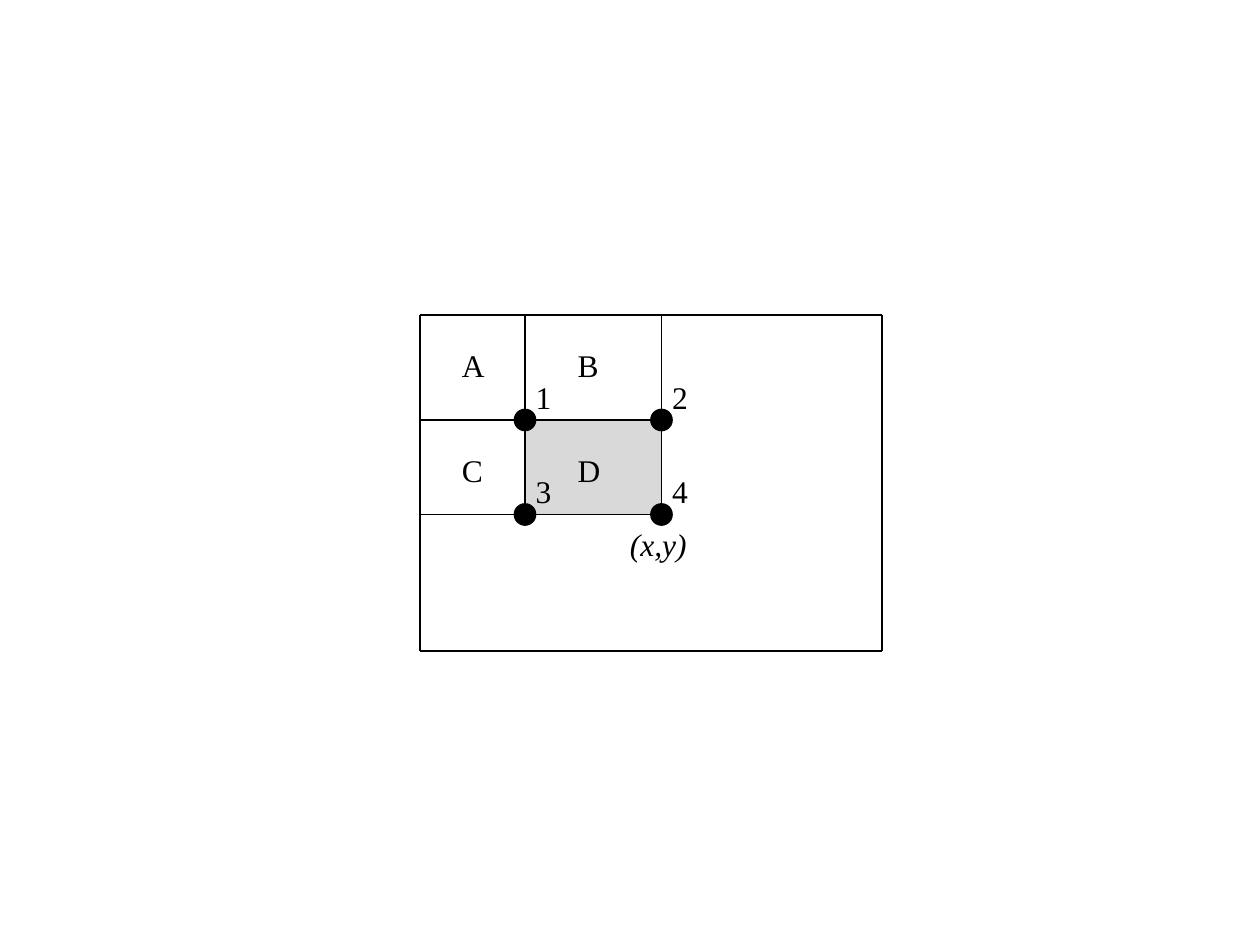
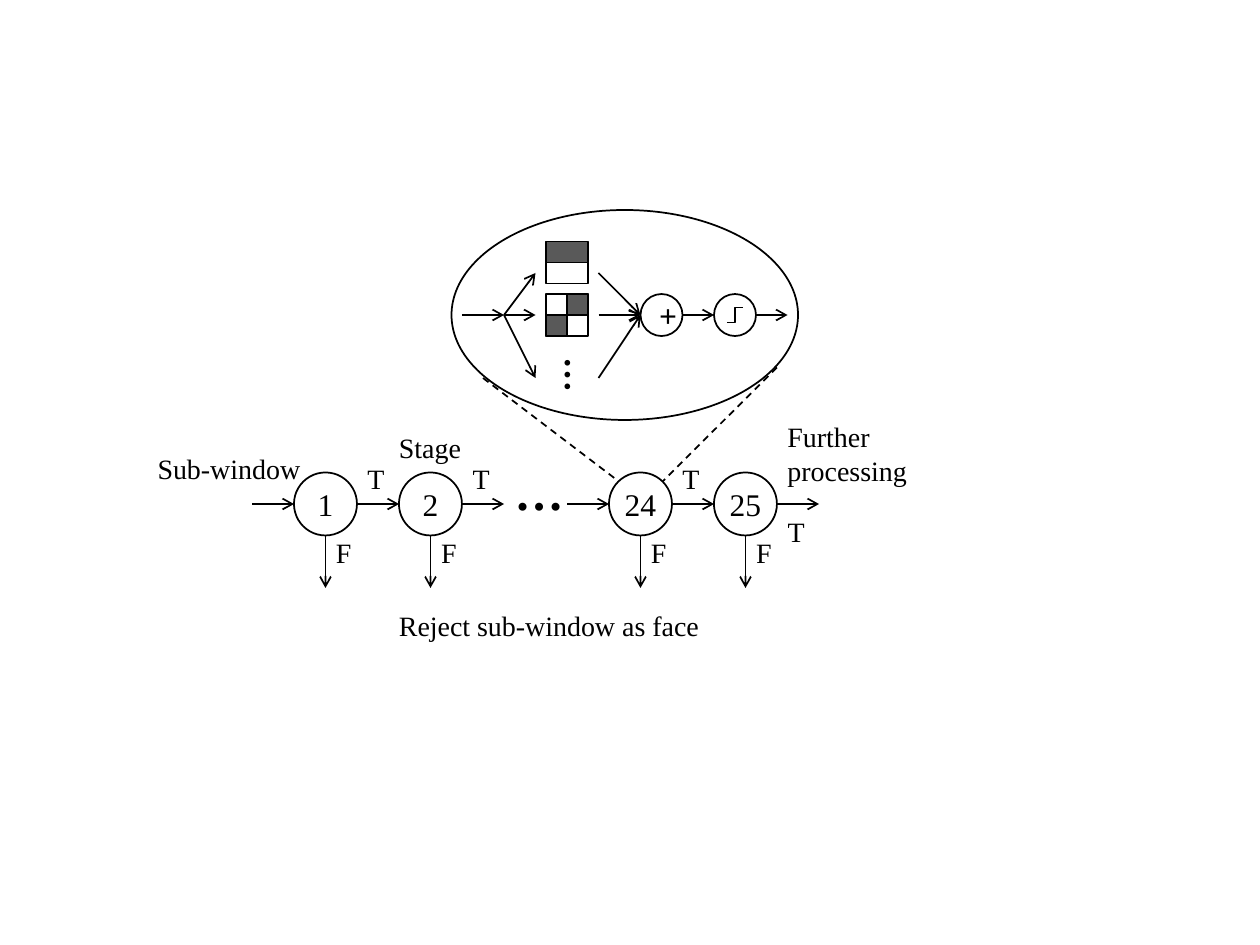
from lxml import etree
from pptx import Presentation
from pptx import util as u
from pptx.dml import color
from pptx.enum import dml, shapes, text
from pptx.oxml import ns

COLORS = {"ink": "000000", "paper": "FFFFFF", "shade": "D9D9D9", "dark": "595959"}
COLUMNS, ROWS = 120, 90
BLANK_LAYOUT = 6


class Diagram:
    """Draws black-line diagrams on a grid of columns and rows."""

    font = {"name": "Times New Roman", "bold": False, "italic": False}
    label_frame = {
        "margin_left": 0, "margin_right": 0, "margin_top": 0, "margin_bottom": 0,
        "word_wrap": True, "auto_size": text.MSO_AUTO_SIZE.SHAPE_TO_FIT_TEXT,
    }

    def __init__(self):
        self.presentation = Presentation()
        self.presentation.slide_width = u.Inches(10)
        self.presentation.slide_height = u.Inches(7.5)
        self.slide = None

    def new_slide(self):
        layout = self.presentation.slide_layouts[BLANK_LAYOUT]
        self.slide = self.presentation.slides.add_slide(layout)

    def x(self, columns):
        return round(self.presentation.slide_width * columns / COLUMNS)

    def y(self, rows):
        return round(self.presentation.slide_height * rows / ROWS)

    def box(self, left, top, width, height):
        return self.x(left), self.y(top), self.x(width), self.y(height)

    def rgb(self, name):
        return color.RGBColor.from_string(COLORS[name])

    def apply(self, target, values):
        for name, value in values.items():
            setattr(target, name, value)

    def add_words(self, frame, words, size, **style):
        run = frame.paragraphs[0].add_run()
        run.text = words
        self.apply(run.font, {**self.font, "size": u.Pt(size), **style})
        run.font.color.rgb = self.rgb("ink")

    def label(self, words, left, top, width, size=16, lines=1, rotation=0, **style):
        shape = self.slide.shapes.add_textbox(*self.box(left, top, width, size * lines / 5))
        shape.rotation = rotation
        self.apply(shape.text_frame, self.label_frame)
        self.add_words(shape.text_frame, words, size, **style)

    def shape(self, kind, left, top, width, height, fill=None):
        shape = self.slide.shapes.add_shape(kind, *self.box(left, top, width, height))
        shape.shadow.inherit = False
        if fill:
            shape.fill.solid()
            shape.fill.fore_color.rgb = self.rgb(fill)
        else:
            shape.fill.background()
        shape.line.color.rgb = self.rgb("ink")
        shape.line.width = u.Pt(1)
        return shape

    def rectangle(self, *place, fill=None):
        return self.shape(shapes.MSO_SHAPE.RECTANGLE, *place, fill=fill)

    def ellipse(self, *place, fill=None):
        return self.shape(shapes.MSO_SHAPE.OVAL, *place, fill=fill)

    def node(self, words, left, top, size, bold=False):
        frame = self.ellipse(left, top, size, size).text_frame
        frame.vertical_anchor = text.MSO_ANCHOR.MIDDLE
        if len(words) > 1:
            self.apply(frame, {name: 0 for name in self.label_frame if "margin" in name})
        frame.paragraphs[0].alignment = text.PP_ALIGN.CENTER
        self.add_words(frame, words, 18, bold=bold)

    def line(self, start, end, arrow=False, dash=None, elbow=False, width=1):
        kind = shapes.MSO_CONNECTOR.ELBOW if elbow else shapes.MSO_CONNECTOR.STRAIGHT
        points = [scale(value) for point in (start, end)
                  for scale, value in zip((self.x, self.y), point)]
        connector = self.slide.shapes.add_connector(kind, *points)
        connector.line.color.rgb = self.rgb("ink")
        self.apply(connector.line, {"width": u.Pt(width), "dash_style": dash})
        properties = connector.element.spPr
        if arrow:
            outline = properties.find(ns.qn("a:ln"))
            etree.SubElement(outline, ns.qn("a:tailEnd"), type="arrow")
        etree.SubElement(properties, ns.qn("a:effectLst"))

    def arrow(self, start, end):
        self.line(start, end, arrow=True)


def draw_integral_regions(diagram):
    """Draws the four regions and their numbered corners."""
    diagram.new_slide()
    left, top, right, bottom = 40, 30, 84, 62
    columns, rows = (50, 63), (40, 49)
    diagram.rectangle(columns[0], rows[0], columns[1] - columns[0], rows[1] - rows[0],
                      fill="shade")
    for column, end in ((left, bottom), (right, bottom), *((c, rows[1]) for c in columns)):
        diagram.line((column, top), (column, end))
    for row, end in ((top, right), (bottom, right), *((r, columns[1]) for r in rows)):
        diagram.line((left, row), (end, row))
    for index, name in enumerate("ABCD"):
        diagram.label(name, (44, 55)[index % 2], (33, 43)[index // 2], 4, 18)
    diagram.label("(x,y)", 60, 50, 6, 18, italic=True)
    corners = [(column, row) for row in rows for column in columns]
    for number, (column, row) in enumerate(corners, 1):
        diagram.label(str(number), column + 1, row - 4, 4, 18)
        diagram.ellipse(column - 1, row - 1, 2, 2, fill="ink")


def draw_stage_detail(diagram):
    """Draws the enlarged view of one stage."""
    axis = 30
    for start, end in (((74, 35), (63.12, 45.84)), ((46, 36), (58.92, 45.84))):
        diagram.line(start, end, dash=dml.MSO_LINE.DASH)
    diagram.ellipse(43, 20, 33, 20, fill="paper")
    diagram.rectangle(52, 25, 4, 2)
    diagram.rectangle(52, 23, 4, 2, fill="dark")
    diagram.rectangle(52, 28, 4, 4)
    for left, top in ((54, 28), (52, 30)):
        diagram.rectangle(left, top, 2, 2, fill="dark")
    diagram.label("…", 53.16, 34.04, 4, 20, rotation=90, bold=True)
    for row in (26, axis, 36):
        diagram.arrow((48, axis), (51, row))
        diagram.arrow((57, row), (61, axis))
    diagram.node("+", 61, 28, 4, bold=True)
    diagram.ellipse(68, 28, 4, 4)
    for start, end in ((44, 48), (65, 68), (72, 75)):
        diagram.arrow((start, axis), (end, axis))
    diagram.line((69.24, 30.72), (70.75, 29.28), elbow=True, width=0.75)


def draw_cascade(diagram):
    """Draws the chain of stages with its pass and reject exits."""
    diagram.new_slide()
    draw_stage_detail(diagram)
    axis, size = 48, 6
    for number, left in ((1, 28), (2, 38), (24, 58), (25, 68)):
        middle, bottom = left + size / 2, axis + size / 2
        diagram.node(str(number), left, axis - size / 2, size)
        diagram.arrow((middle, bottom), (middle, bottom + 5))
        diagram.label("F", left + 4, bottom, 3)
    for start in range(24, 75, 10):
        diagram.arrow((start, axis), (start + 4, axis))
    for left, top in ((35, 44), (45, 44), (65, 44), (75, 49)):
        diagram.label("T", left, top, 3)
    diagram.label("…", 49, 44, 4, 28, bold=True)
    diagram.label("Sub-window", 15, 43, 16)
    diagram.label("Stage", 38, 41, 7)
    diagram.label("Further processing", 75, 40, 13, lines=2)
    diagram.label("Reject sub-window as face", 38, 58, 31)


def main():
    """Builds both slides and saves them."""
    diagram = Diagram()
    draw_integral_regions(diagram)
    draw_cascade(diagram)
    diagram.presentation.save("out.pptx")


if __name__ == "__main__":
    main()
